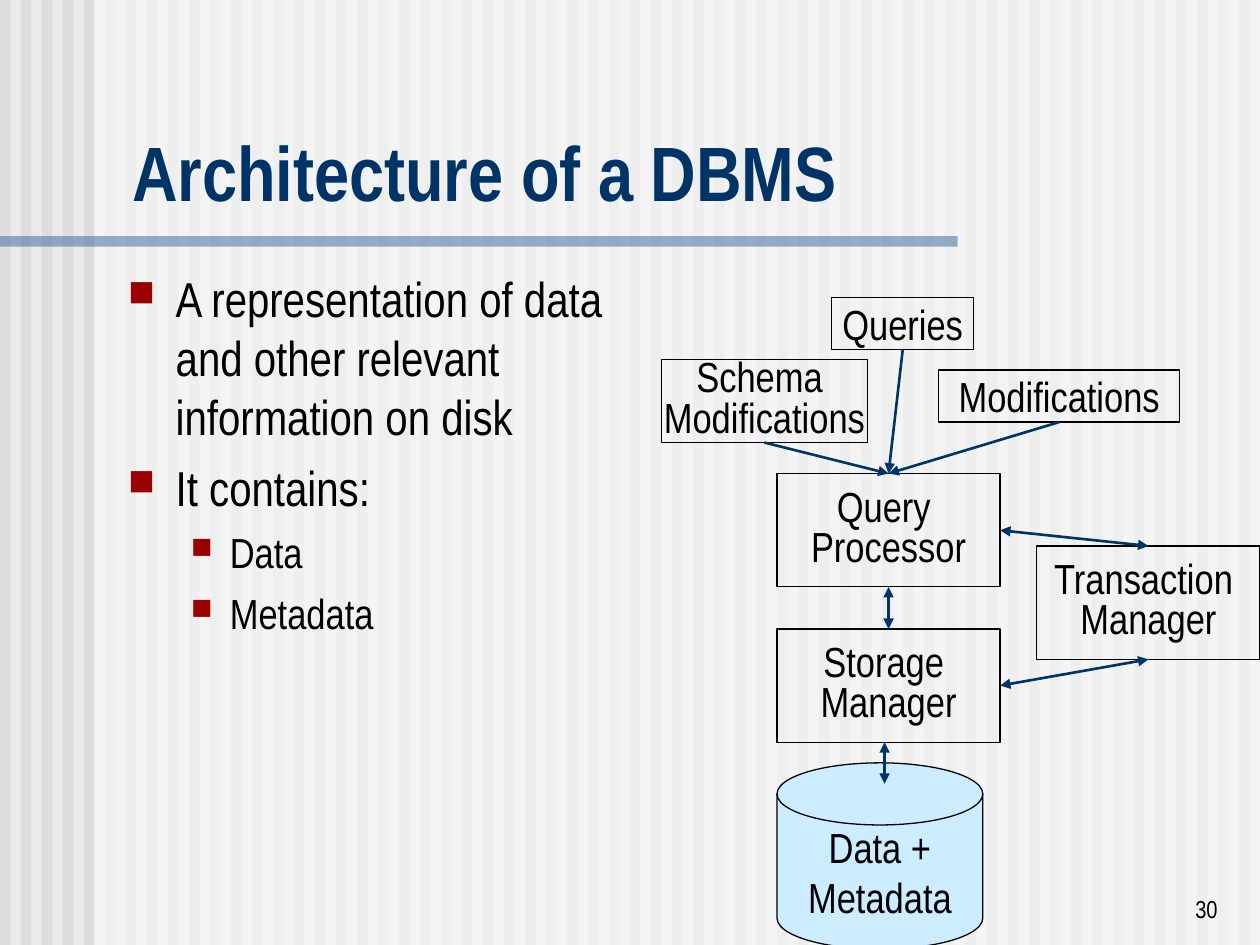
"""Build the slide on the architecture of a DBMS."""
from dataclasses import dataclass
from typing import NamedTuple, Optional

from lxml import etree
from pptx import Presentation
from pptx.dml.color import RGBColor
from pptx.enum.shapes import MSO_CONNECTOR, MSO_SHAPE
from pptx.enum.text import MSO_ANCHOR, PP_ALIGN
from pptx.oxml.ns import qn
from pptx.util import Inches, Pt

RECTANGLE = MSO_SHAPE.RECTANGLE
DISK = MSO_SHAPE.FLOWCHART_MAGNETIC_DISK
STRAIGHT = MSO_CONNECTOR.STRAIGHT
LEFT, CENTER, RIGHT = PP_ALIGN.LEFT, PP_ALIGN.CENTER, PP_ALIGN.RIGHT
TOP, MIDDLE, BOTTOM = MSO_ANCHOR.TOP, MSO_ANCHOR.MIDDLE, MSO_ANCHOR.BOTTOM
TOP_SITE, BOTTOM_SITE, RIGHT_SITE = 0, 2, 3
COLUMNS, ROWS = 120, 90
CELL = Inches(10) // COLUMNS


@dataclass(frozen=True)
class Theme:
    """Font, colours and type sizes of the slide."""
    font: str = "Arial Narrow"
    background: str = "EAEAEA"
    stripe: str = "DDDDDD"
    veil: str = "FFFFFF"
    rule: str = "336699"
    navy: str = "003366"
    ink: str = "000000"
    bullet: str = "9A0000"
    disk: str = "CCECFF"
    title_size: int = 44
    body_size: int = 28
    label_size: int = 24
    number_size: int = 14


THEME = Theme()


class Area(NamedTuple):
    """A place in grid columns and rows."""
    column: float
    row: float
    columns: float
    rows: float

    def lengths(self) -> list[int]:
        """Return left, top, width and height."""
        return [round(value * CELL) for value in self]


class Node(NamedTuple):
    """A box of the diagram."""
    name: str
    lines: list[str]
    area: Area
    spacing: float = 1.0
    shape_type: int = RECTANGLE
    fill: Optional[str] = None


class Link(NamedTuple):
    """An arrow between two boxes."""
    start: str
    start_site: int
    end: str
    end_site: int
    both_ways: bool = False


class Bullet(NamedTuple):
    """A bulleted line of the body."""
    text: str
    level: int = 0


class BulletStyle(NamedTuple):
    """Size, spacing and indent of a bullet level."""
    size: int
    space_before: int
    margin: float
    hanging: float
    bullet_percent: int


BULLET_STYLES = [
    BulletStyle(THEME.body_size, 7, 0.38, 0.38, 75),
    BulletStyle(THEME.label_size, 6, 0.81, 0.31, 70),
]
BULLETS = [
    Bullet("A representation of data and other relevant information on disk"),
    Bullet("It contains:"),
    Bullet("Data", 1),
    Bullet("Metadata", 1),
]
NODES = [
    Node("query", ["Query ", "Processor"], Area(74, 45.1, 21.25, 10.8), 0.8),
    Node("schema", ["Schema ", "Modifications"], Area(63, 34.25, 19.6, 7.9), 0.8),
    Node("transaction", ["Transaction ", "Manager"], Area(98.75, 52, 21.25, 10.8), 0.8),
    Node("storage", ["Storage ", "Manager"], Area(74, 59.9, 21.25, 10.8), 0.8),
    Node("data", ["Data +", "Metadata"], Area(74, 72.65, 19.6, 17.75), 1.0, DISK, THEME.disk),
    Node("queries", ["Queries"], Area(79.2, 28.35, 13.55, 4.95)),
    Node("modifications", ["Modifications"], Area(89.4, 35.25, 22.95, 4.95)),
]
LINKS = [
    Link("queries", BOTTOM_SITE, "query", TOP_SITE),
    Link("schema", BOTTOM_SITE, "query", TOP_SITE),
    Link("modifications", BOTTOM_SITE, "query", TOP_SITE),
    Link("transaction", BOTTOM_SITE, "storage", RIGHT_SITE, True),
    Link("transaction", TOP_SITE, "query", RIGHT_SITE, True),
    Link("query", BOTTOM_SITE, "storage", TOP_SITE, True),
]


def color(value: str) -> RGBColor:
    """Turn a hex value into a colour."""
    return RGBColor.from_string(value)


def add_band(slide, area: Area, fill: str, alpha: int = 100) -> None:
    """Draw a plain rectangle without outline."""
    shape = slide.shapes.add_shape(RECTANGLE, *area.lengths())
    shape.shadow.inherit = False
    shape.fill.solid()
    shape.fill.fore_color.rgb = color(fill)
    shape.line.fill.background()
    if alpha < 100:
        tint = shape.fill._xPr.find(".//" + qn("a:srgbClr"))
        etree.SubElement(tint, qn("a:alpha"), val=str(alpha * 1000))


def style_paragraph(paragraph, size: int, ink: str = THEME.ink, bold: bool = False) -> None:
    """Set the font of every run."""
    for run in paragraph.runs:
        run.font.name = THEME.font
        run.font.size = Pt(size)
        run.font.bold = bold
        run.font.color.rgb = color(ink)


def add_text(slide, area: Area, text: str, size: int, anchor=TOP, alignment=LEFT,
             ink: str = THEME.ink, bold: bool = False):
    """Add a wrapping text box and return its text frame."""
    text_frame = slide.shapes.add_textbox(*area.lengths()).text_frame
    text_frame.word_wrap = True
    text_frame.vertical_anchor = anchor
    text_frame.text = text
    for paragraph in text_frame.paragraphs:
        paragraph.alignment = alignment
        style_paragraph(paragraph, size, ink, bold)
    return text_frame


def add_bullets(slide, area: Area, bullets: list[Bullet]) -> None:
    """Add the bulleted body text."""
    text_frame = add_text(slide, area, "\n".join(item.text for item in bullets), THEME.body_size)
    for index, (paragraph, item) in enumerate(zip(text_frame.paragraphs, bullets)):
        style = BULLET_STYLES[item.level]
        properties = paragraph._p.get_or_add_pPr()
        properties.set("marL", str(Inches(style.margin)))
        properties.set("indent", str(-Inches(style.hanging)))
        bullet_color = etree.SubElement(properties, qn("a:buClr"))
        etree.SubElement(bullet_color, qn("a:srgbClr"), val=THEME.bullet)
        etree.SubElement(properties, qn("a:buSzPct"), val=str(style.bullet_percent * 1000))
        etree.SubElement(properties, qn("a:buChar"), char="■")
        paragraph.level = item.level
        paragraph.space_before = Pt(style.space_before if index else 0)
        style_paragraph(paragraph, style.size)


def add_node(slide, node: Node):
    """Draw a labelled box of the diagram."""
    shape = slide.shapes.add_shape(node.shape_type, *node.area.lengths())
    shape.shadow.inherit = False
    if node.fill:
        shape.fill.solid()
        shape.fill.fore_color.rgb = color(node.fill)
    else:
        shape.fill.background()
    shape.line.color.rgb = color(THEME.ink)
    shape.line.width = Pt(0.75)
    text_frame = shape.text_frame
    text_frame.word_wrap = False
    text_frame.vertical_anchor = MIDDLE
    text_frame.text = "\n".join(node.lines)
    for paragraph in text_frame.paragraphs:
        paragraph.alignment = CENTER
        paragraph.line_spacing = node.spacing
        style_paragraph(paragraph, THEME.label_size)
    return shape


def add_arrow(slide, both_ways: bool, points: tuple[float, ...] = (0, 0, 0, 0)):
    """Draw a straight arrow between two grid points."""
    arrow = slide.shapes.add_connector(STRAIGHT, *[round(value * CELL) for value in points])
    arrow.line.color.rgb = color(THEME.navy)
    arrow.line.width = Pt(1.5)
    line = arrow.line._get_or_add_ln()
    for end in ["headEnd", "tailEnd"] if both_ways else ["tailEnd"]:
        etree.SubElement(line, qn(f"a:{end}"), type="triangle")
    etree.SubElement(arrow._element.spPr, qn("a:effectLst"))
    return arrow


def main() -> None:
    """Build and save the slide."""
    presentation = Presentation()
    presentation.slide_width, presentation.slide_height = COLUMNS * CELL, ROWS * CELL
    slide = presentation.slides.add_slide(presentation.slide_layouts[6])
    slide.background.fill.solid()
    slide.background.fill.fore_color.rgb = color(THEME.background)
    for column in range(0, COLUMNS, 2):
        add_band(slide, Area(column, 0, 1, ROWS), THEME.stripe)
    add_band(slide, Area(9, 0, COLUMNS - 9, ROWS), THEME.veil, 50)
    add_band(slide, Area(0, 22.5, 91.2, 1), THEME.rule, 50)
    add_text(slide, Area(11.4, 11.25, 107.15, 10), "Architecture of a DBMS",
             THEME.title_size, BOTTOM, ink=THEME.navy, bold=True)
    add_bullets(slide, Area(11, 25, 53, 60), BULLETS)
    shapes = {node.name: add_node(slide, node) for node in NODES}
    for link in LINKS:
        arrow = add_arrow(slide, link.both_ways)
        arrow.begin_connect(shapes[link.start], link.start_site)
        arrow.end_connect(shapes[link.end], link.end_site)
    add_arrow(slide, True, (84.25, 70.7, 84.25, 74.65))
    add_text(slide, Area(92.15, 82.5, 25, 6), "30", THEME.number_size, BOTTOM, RIGHT)
    presentation.save("out.pptx")


if __name__ == "__main__":
    main()
